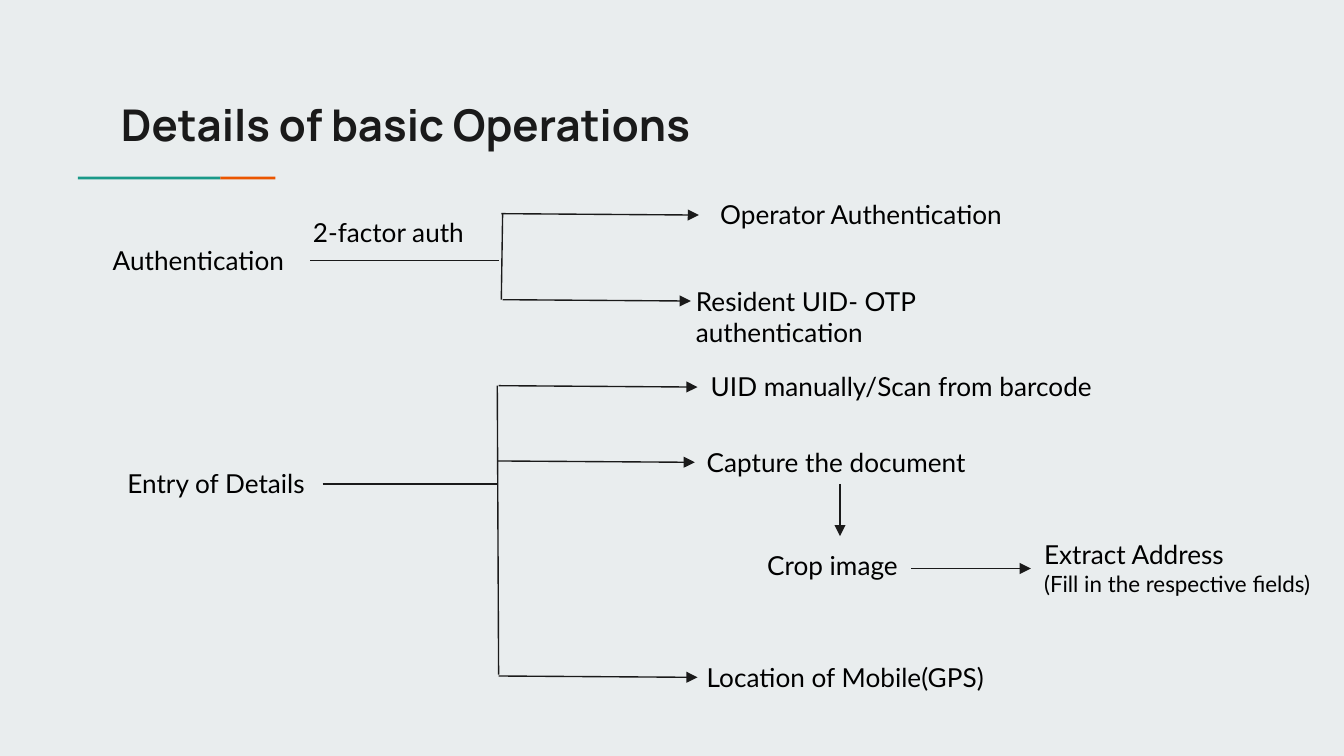
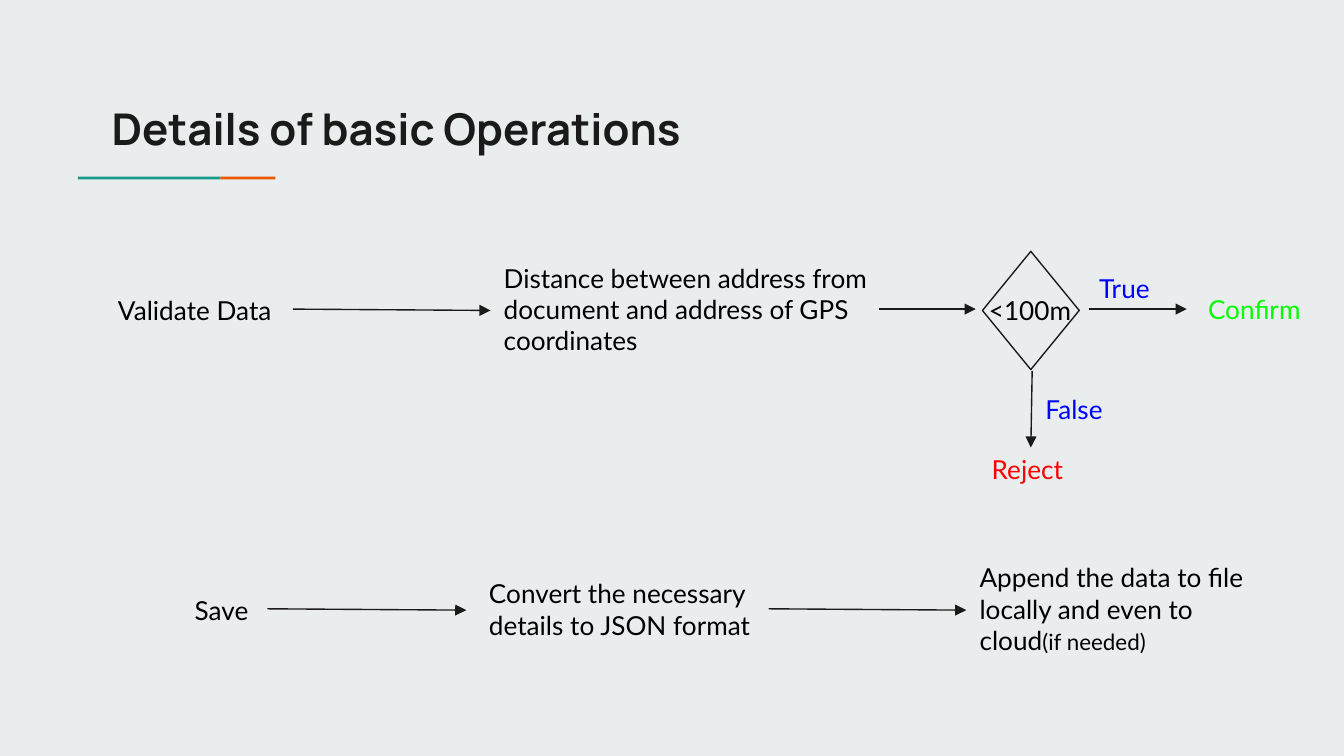
"""Build two flow slides on the basic operations."""
from lxml.etree import SubElement
from pptx import Presentation
from pptx.dml.color import RGBColor as Rgb
from pptx.enum.shapes import MSO_CONNECTOR as Line, MSO_SHAPE as Shape
from pptx.enum.text import MSO_ANCHOR as Anchor, MSO_AUTO_SIZE as Fit, PP_ALIGN as Align
from pptx.oxml.ns import qn
from pptx.util import Inches, Pt

HUES = {
    "back": "E9EDEE", "ink": "1A1A1A", "text": "000000", "teal": "1A9988",
    "orange": "EB5600", "green": "00FF00", "blue": "0000FF", "red": "FF0000",
}
HUES = {name: Rgb.from_string(code) for name, code in HUES.items()}

deck = Presentation()
deck.slide_width, deck.slide_height = Inches(10), Inches(5.625)
CELL = deck.slide_width / 100
back = deck.slide_master.background.fill
back.solid()
back.fore_color.rgb = HUES["back"]


def label(slide, text, x, y, wide, high=4.4, hue="text"):
    """Add a text box, measured in grid cells, and return its frame."""
    box = slide.shapes.add_textbox(*[round(n * CELL) for n in (x, y, wide, high)])
    frame = box.text_frame
    frame.word_wrap = True
    frame.auto_size = Fit.SHAPE_TO_FIT_TEXT
    frame.margin_top = frame.margin_bottom = Inches(0.1)
    frame.text = text
    font = frame.paragraphs[0].runs[0].font
    font.name, font.size, font.color.rgb = "Lato", Pt(14), HUES[hue]
    return frame


def link(slide, x1, y1, x2, y2, head=True):
    """Add a line between two grid points, with or without an arrowhead."""
    ends = [round(n * CELL) for n in (x1, y1, x2, y2)]
    line = slide.shapes.add_connector(Line.STRAIGHT, *ends)
    line.line.color.rgb = HUES["ink"]
    line.line.width = Pt(0.75)
    if head:
        SubElement(line.line._get_or_add_ln(), qn("a:tailEnd"), type="triangle")
    SubElement(line._element.spPr, qn("a:effectLst"))


for x, y in [(8, 6.3), (7.3, 6.6)]:
    slide = deck.slides.add_slide(deck.slide_layouts[5])
    title = slide.shapes.title
    title.left, title.top, title.width, title.height = [
        round(n * CELL) for n in (x, y, 84.1, 5.9)]
    frame = title.text_frame
    frame.text = "Details of basic Operations"
    frame.auto_size = Fit.NONE
    frame.vertical_anchor = Anchor.TOP
    frame.margin_top = frame.margin_bottom = Inches(0.1)
    para = frame.paragraphs[0]
    para.alignment = Align.LEFT
    font = para.runs[0].font
    font.name, font.size, font.bold = "Manrope", Pt(23.4), True
    font.color.rgb = HUES["ink"]
    for hue, left, wide in [("teal", 5.8, 10.6), ("orange", 16.4, 4.1)]:
        bar = slide.shapes.add_shape(
            Shape.RECTANGLE, *[round(n * CELL) for n in (left, 13.15, wide, 0.2)])
        bar.shadow.inherit = False
        bar.fill.solid()
        bar.fill.fore_color.rgb = HUES[hue]
        bar.line.fill.background()

entry, save = deck.slides

for x1, y1, x2, y2 in [
    (37.3, 15.9, 52, 16), (37.4, 22.3, 51.4, 22.4),
    (37.1, 28.7, 51.9, 28.8), (37, 34.3, 51.7, 34.4), (37.1, 50.3, 51.9, 50.4),
    (62.5, 36, 62.5, 39.9), (67.8, 42.3, 76.7, 42.3),
]:
    link(entry, x1, y1, x2, y2)
for x1, y1, x2, y2 in [
    (23.1, 19.4, 37.1, 19.4), (37.4, 15.9, 37.3, 22.3),
    (24, 36, 37, 36), (37, 28.7, 37.1, 50.2),
]:
    link(entry, x1, y1, x2, y2, head=False)
for text, x, y, wide in [
    ("Authentication", 7.4, 17.2, 15.8),
    ("2-factor auth", 22.3, 15.1, 15.1),
    ("Operator Authentication", 52.6, 13.8, 27.5),
    ("Resident UID- OTP authentication", 50.8, 20.2, 20),
    ("Entry of Details", 8.5, 33.8, 15.4),
    ("UID manually/Scan from barcode", 51.9, 26.6, 35.4),
    ("Capture the document", 51.6, 32.2, 21.8),
    ("Crop image", 56.1, 39.9, 14.7),
    ("Location of Mobile(GPS)", 51.6, 48.2, 23.9),
]:
    label(entry, text, x, y, wide)
fill_in = label(entry, "Extract Address", 76.7, 39.1, 24.6, 6.4).add_paragraph()

check = save.shapes.add_shape(
    Shape.DIAMOND, *[round(n * CELL) for n in (73.1, 18.7, 7.2, 8.8)])
check.shadow.inherit = False
check.fill.solid()
check.fill.fore_color.rgb = HUES["back"]
check.line.color.rgb = HUES["ink"]
check.line.width = Pt(0.75)
for x1, y1, x2, y2 in [
    (21.8, 23, 36.5, 23.1), (65.4, 23, 72.6, 23), (81, 23, 88.3, 23),
    (76.8, 27.6, 76.7, 33.3), (19.9, 45.3, 34.7, 45.4), (57.2, 45.3, 71.9, 45.4),
]:
    link(save, x1, y1, x2, y2)
for text, x, y, wide, high, hue in [
    ("Validate Data", 7.8, 20.9, 14.7, 4.4, "text"),
    ("Distance between address from document and address of GPS coordinates",
     36.5, 18.5, 29.4, 9.1, "text"),
    ("<100m", 72.6, 20.9, 8.4, 4.4, "text"),
    ("Confirm", 88.9, 20.8, 9.3, 4.4, "green"),
    ("True", 80.8, 19.3, 9.8, 4.4, "blue"),
    ("False", 76.8, 28.3, 8.4, 4.4, "blue"),
    ("Reject", 72.8, 32.7, 8.1, 4.4, "red"),
    ("Save", 13.5, 43.2, 6.4, 4.4, "text"),
    ("Convert the necessary details to JSON format", 35.4, 42, 24.7, 6.7, "text"),
]:
    label(save, text, x, y, wide, high, hue)
cloud = label(save, "Append the data to file locally and even to cloud",
              71.9, 40.8, 23.3, 9.1).paragraphs[0]

for para, text in [(fill_in, "(Fill in the respective fields)"), (cloud, "(if needed)")]:
    run = para.add_run()
    run.text = text
    run.font.name, run.font.size = "Lato", Pt(12)
    run.font.color.rgb = HUES["text"]

deck.save("out.pptx")
